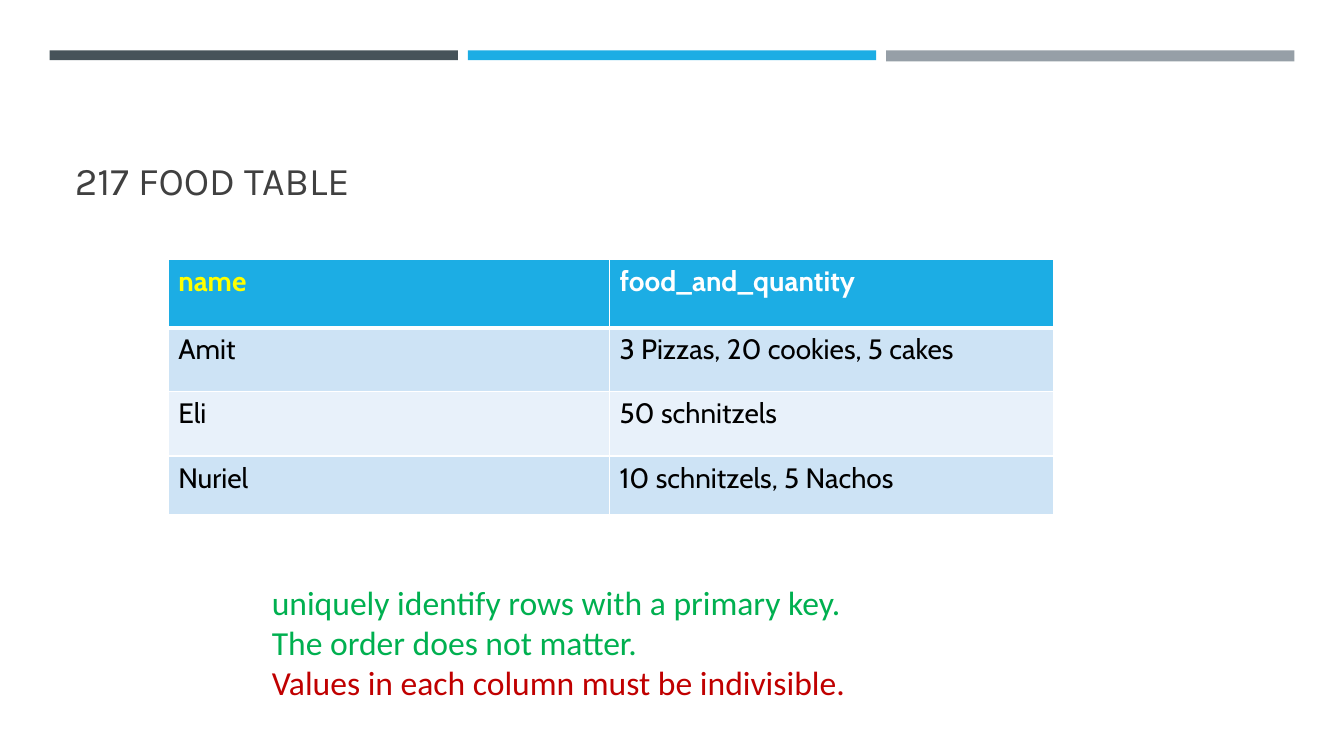
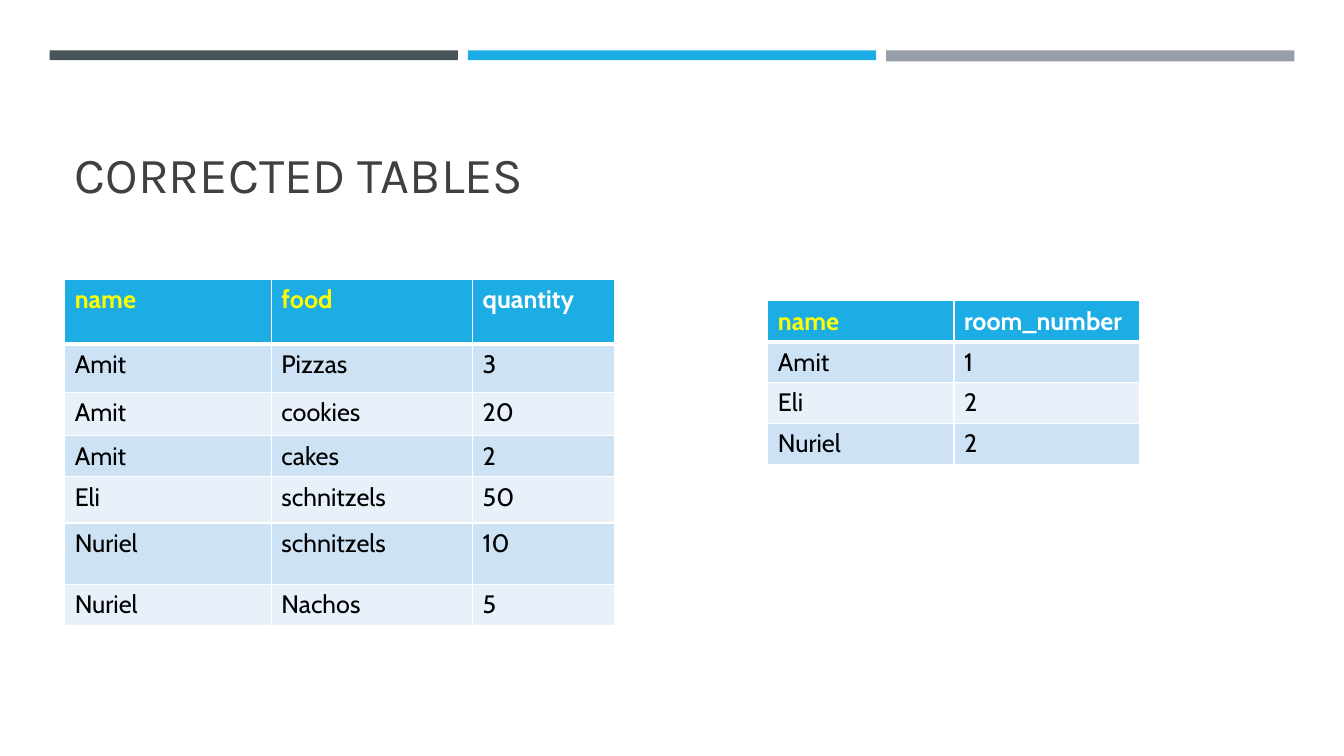
from lxml.etree import SubElement
from pptx import Presentation
from pptx.dml.color import RGBColor
from pptx.enum.shapes import MSO_SHAPE
from pptx.enum.text import MSO_ANCHOR, MSO_AUTO_SIZE, PP_ALIGN
from pptx.oxml.ns import qn
from pptx.util import Cm, Pt

WHITE = "FFFFFF"
BLACK = "000000"
BLUE = "1CADE4"
SLATE = "465359"
GREY = "969FA7"
TITLE_GREY = "404040"
KEY_YELLOW = "FFFF00"
GREEN = "00B050"
RED = "C00000"
ROW_BANDS = ("CDE3F5", "E8F1FA")


def color(value):
    return RGBColor.from_string(value)


class Deck:
    title_font = "Karla"
    table_font = "Cabin"
    note_font = "Calibri"
    bands = ((SLATE, 0.25), (BLUE, 0.25), (GREY, 0.28))

    def __init__(self):
        self.presentation = Presentation()
        self.presentation.slide_width = Cm(33.87)
        self.presentation.slide_height = Cm(19.05)
        self.slide = None

    def add_slide(self, title, size):
        layout = self.presentation.slide_layouts[5]
        self.slide = self.presentation.slides.add_slide(layout)
        for index, (fill, height) in enumerate(self.bands):
            self.add_band(1.25 + index * 10.54, height, fill)
        self.set_title(title, size)

    def add_band(self, left, height, fill):
        band = self.slide.shapes.add_shape(
            MSO_SHAPE.RECTANGLE, Cm(left), Cm(1.27), Cm(10.29), Cm(height))
        band.shadow.inherit = False
        band.fill.solid()
        band.fill.fore_color.rgb = color(fill)
        band.line.fill.background()

    def set_title(self, text, size):
        title = self.slide.shapes.title
        title.left, title.top = Cm(1.63), Cm(1.96)
        title.width, title.height = Cm(30.63), Cm(3.3)
        frame = title.text_frame
        frame.word_wrap = True
        frame.auto_size = MSO_AUTO_SIZE.NONE
        frame.vertical_anchor = MSO_ANCHOR.BOTTOM
        paragraph = frame.paragraphs[0]
        paragraph.alignment = PP_ALIGN.LEFT
        self.add_run(paragraph, text, self.title_font, size, TITLE_GREY)

    def add_run(self, paragraph, text, font, size, fill, bold=False):
        run = paragraph.add_run()
        run.text = text
        run.font.name = font
        run.font.size = Pt(size)
        run.font.bold = bold
        run.font.color.rgb = color(fill)

    def add_note(self, left, top, width, height, lines):
        box = self.slide.shapes.add_textbox(Cm(left), Cm(top), Cm(width), Cm(height))
        frame = box.text_frame
        frame.word_wrap = True
        for index, (text, fill) in enumerate(lines):
            paragraph = frame.add_paragraph() if index else frame.paragraphs[0]
            self.add_run(paragraph, text, self.note_font, 24, fill)

    def add_table(self, left, top, widths, heights, rows, size, key_count):
        frame = self.slide.shapes.add_table(
            len(rows), len(widths), Cm(left), Cm(top),
            Cm(sum(widths)), Cm(sum(heights)))
        table = frame.table
        table.horz_banding = False
        for column, width in zip(table.columns, widths):
            column.width = Cm(width)
        for row, height in zip(table.rows, heights):
            row.height = Cm(height)
        for row_index, values in enumerate(rows):
            header = row_index == 0
            fill = BLUE if header else ROW_BANDS[(row_index - 1) % 2]
            for column_index, value in enumerate(values):
                cell = table.cell(row_index, column_index)
                self.add_borders(cell, row_index)
                cell.fill.solid()
                cell.fill.fore_color.rgb = color(fill)
                header_color = KEY_YELLOW if column_index < key_count else WHITE
                self.add_run(cell.text_frame.paragraphs[0], value, self.table_font,
                             size, header_color if header else BLACK, header)

    def add_borders(self, cell, row_index):
        properties = cell._tc.get_or_add_tcPr()
        widths = {"L": 1, "R": 1,
                  "T": 3 if row_index == 1 else 1,
                  "B": 3 if row_index == 0 else 1}
        for side, width in widths.items():
            line = SubElement(properties, qn(f"a:ln{side}"), w=str(Pt(width)))
            fill = SubElement(line, qn("a:solidFill"))
            SubElement(fill, qn("a:srgbClr"), val=WHITE)


def main():
    deck = Deck()

    deck.add_slide("217 FOOD TABLE", 28)
    deck.add_table(4.24, 6.53, (11.12, 11.18), (1.73, 1.6, 1.63, 1.47), (
        ("name", "food_and_quantity"),
        ("Amit", "3 Pizzas, 20 cookies, 5 cakes"),
        ("Eli", "50 schnitzels"),
        ("Nuriel", "10 schnitzels, 5 Nachos"),
    ), size=20, key_count=1)
    deck.add_note(6.6, 14.53, 16.94, 3.33, (
        ("uniquely identify rows with a primary key.", GREEN),
        ("The order does not matter.", GREEN),
        ("Values in each column must be indivisible.", RED),
    ))

    deck.add_slide("CORRECTED TABLES", 36)
    food_heights = (1.63, 1.22, 1.09, 1.03, 1.17, 1.55, 1.03)
    deck.add_table(1.63, 7.04, (5.21, 5.07, 3.58), food_heights, (
        ("name", "food", "quantity"),
        ("Amit", "Pizzas", "3"),
        ("Amit", "cookies", "20"),
        ("Amit", "cakes", "2"),
        ("Eli", "schnitzels", "50"),
        ("Nuriel", "schnitzels", "10"),
        ("Nuriel", "Nachos", "5"),
    ), size=18, key_count=2)
    deck.add_table(19.35, 7.58, (4.69,) * 2, (1.03,) * 4, (
        ("name", "room_number"),
        ("Amit", "1"),
        ("Eli", "2"),
        ("Nuriel", "2"),
    ), size=18, key_count=1)

    deck.presentation.save("out.pptx")


if __name__ == "__main__":
    main()
